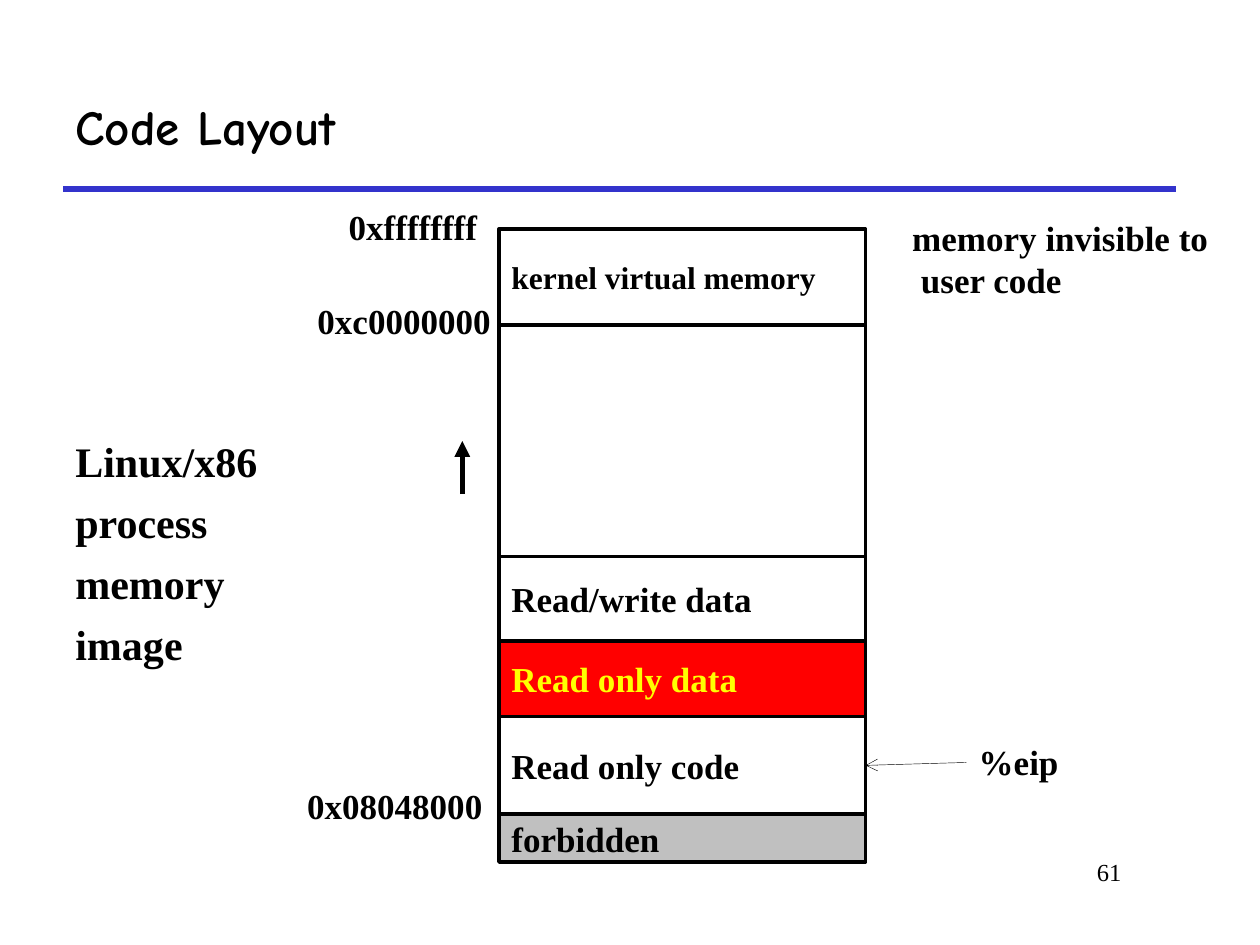
from lxml.etree import SubElement
from pptx import Presentation
from pptx.dml.color import RGBColor
from pptx.enum.shapes import MSO_CONNECTOR, MSO_SHAPE
from pptx.enum.text import MSO_ANCHOR, MSO_AUTO_SIZE, PP_ALIGN
from pptx.oxml.ns import qn
from pptx.util import Cm, Pt

BLACK = RGBColor(0x00, 0x00, 0x00)
WHITE = RGBColor(0xFF, 0xFF, 0xFF)
BLUE = RGBColor(0x33, 0x33, 0xCC)
RED = RGBColor(0xFF, 0x00, 0x00)
YELLOW = RGBColor(0xFF, 0xFF, 0x00)
GREY = RGBColor(0xC0, 0xC0, 0xC0)
BODY_FONT = "Times New Roman"
TITLE_FONT = "Comic Neue"

# Memory regions: label, top and height in cm, fill, text colour, text size
REGIONS = [
    ("kernel virtual memory", 0, 1.93, WHITE, BLACK, 18),
    ("", 1.93, 5.51, WHITE, BLACK, 20),
    ("Read only code", 9.78, 2.06, None, BLACK, 20),
    ("Read only data", 8.28, 1.55, RED, YELLOW, 20),
    ("Read/write data", 6.6, 1.7, WHITE, BLACK, 20),
    ("forbidden", 11.79, 0.97, GREY, BLACK, 20),
]
# Addresses: text, left and top relative to the memory map, width in cm
ADDRESSES = [
    ("0xffffffff", -3.28, -0.61, 3.1),
    ("0xc0000000", -3.91, 1.3, 4.06),
    ("0x08048000", -4.12, 11.08, 4.06),
]


def style_text(frame, size, color=BLACK, bold=True, font=BODY_FONT):
    for paragraph in frame.paragraphs:
        for run in paragraph.runs:
            run.font.name = font
            run.font.size = Pt(size)
            run.font.bold = bold
            run.font.color.rgb = color


def add_label(slide, text, left, top, width, height=1.12, size=20, bold=True):
    label = slide.shapes.add_textbox(Cm(left), Cm(top), Cm(width), Cm(height))
    label.text_frame.word_wrap = False
    label.text_frame.auto_size = MSO_AUTO_SIZE.SHAPE_TO_FIT_TEXT
    label.text_frame.text = text
    style_text(label.text_frame, size, bold=bold)
    return label


def add_line(slide, x1, y1, x2, y2, color, weight, head=None):
    line = slide.shapes.add_connector(
        MSO_CONNECTOR.STRAIGHT, Cm(x1), Cm(y1), Cm(x2), Cm(y2))
    line.line.color.rgb = color
    line.line.width = Pt(weight)
    if head:
        SubElement(line.line._get_or_add_ln(), qn("a:tailEnd"), type=head)
    SubElement(line._element.spPr, qn("a:effectLst"))
    return line


def add_title(slide, left, top, width, height):
    title = slide.shapes.title
    title.left, title.top = Cm(left), Cm(top)
    title.width, title.height = Cm(width), Cm(height)
    title.text_frame.text = "Code Layout"
    title.text_frame.vertical_anchor = MSO_ANCHOR.MIDDLE
    title.text_frame.paragraphs[0].alignment = PP_ALIGN.LEFT
    style_text(title.text_frame, 28, font=TITLE_FONT)
    # Rule under the title
    add_line(slide, left, top + height, left + width, top + height, BLUE, 3)


def add_memory_map(slide, left, top, width):
    regions = {}
    for text, offset, height, fill, color, size in REGIONS:
        region = slide.shapes.add_shape(
            MSO_SHAPE.RECTANGLE, Cm(left), Cm(top + offset), Cm(width), Cm(height))
        region.shadow.inherit = False
        if fill is None:
            region.fill.background()
        else:
            region.fill.solid()
            region.fill.fore_color.rgb = fill
        region.line.color.rgb = BLACK
        region.line.width = Pt(2)
        region.text_frame.text = text
        region.text_frame.vertical_anchor = MSO_ANCHOR.MIDDLE
        region.text_frame.paragraphs[0].alignment = PP_ALIGN.LEFT
        style_text(region.text_frame, size, color)
        regions[text] = region

    # Addresses and growth arrow on the left
    for text, dx, dy, label_width in ADDRESSES:
        add_label(slide, text, left + dx, top + dy, label_width)
    add_line(slide, left - 0.74, top + 5.34, left - 0.74, top + 4.27,
             BLACK, 3, "triangle")

    # Notes on the right
    right = left + width
    add_label(slide, "memory invisible to\n user code",
              right + 0.69, top - 0.38, 6.48, 1.96)
    eip = add_label(slide, "%eip", right + 2.03, top + 10.19, 2.11)
    pointer = add_line(slide, right + 2.03, top + 10.75, right, top + 10.81,
                       BLACK, 0.25, "arrow")
    pointer.begin_connect(eip, 1)
    pointer.end_connect(regions["Read only code"], 3)


def add_caption(slide, left, top, width, height):
    caption = add_label(slide, "Linux/x86\nprocess\nmemory\nimage",
                        left, top, width, height, size=24)
    for index, paragraph in enumerate(caption.text_frame.paragraphs):
        paragraph.line_spacing = 0.9
        paragraph.space_before = Pt(9 if index else 0)


def add_page_number(slide, left, top, width, height):
    number = add_label(slide, "61", left, top, width, height, size=14, bold=False)
    number.text_frame.word_wrap = True
    number.text_frame.auto_size = MSO_AUTO_SIZE.NONE
    number.text_frame.paragraphs[0].alignment = PP_ALIGN.RIGHT


def main():
    deck = Presentation()
    deck.slide_width, deck.slide_height = Cm(25.4), Cm(19.05)
    slide = deck.slides.add_slide(deck.slide_layouts[5])
    add_title(slide, 1.27, 1.27, 22.43, 2.54)
    add_memory_map(slide, 10.06, 4.62, 7.39)
    add_caption(slide, 1.27, 8.76, 4.17, 4.85)
    add_page_number(slide, 19.25, 17.15, 3.61, 1.27)
    deck.save("out.pptx")


if __name__ == "__main__":
    main()
